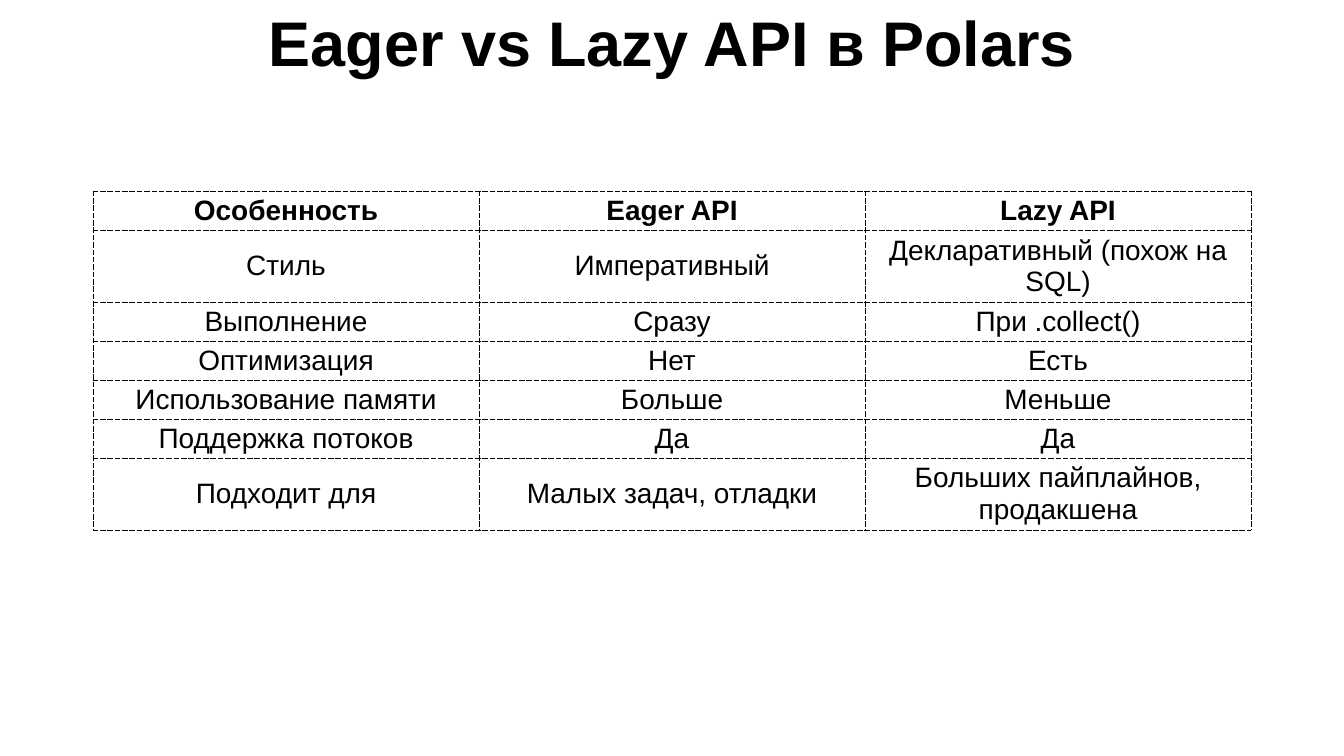
from lxml import etree
from pptx import Presentation
from pptx.dml.color import RGBColor
from pptx.enum import text
from pptx.oxml import ns
from pptx.util import Emu, Pt

TITLE = "Eager vs Lazy API в Polars"
ROWS = [
    ("Особенность", "Eager API", "Lazy API"),
    ("Стиль", "Императивный", "Декларативный (похож на SQL)"),
    ("Выполнение", "Сразу", "При .collect()"),
    ("Оптимизация", "Нет", "Есть"),
    ("Использование памяти", "Больше", "Меньше"),
    ("Поддержка потоков", "Да", "Да"),
    ("Подходит для", "Малых задач, отладки", "Больших пайплайнов, продакшена"),
]
PAGE_WIDTH, PAGE_HEIGHT = 1344, 756
TITLE_HEIGHT = 82
TABLE_LEFT, TABLE_TOP, COLUMN_WIDTH = 93, 191, 386
LINE_HEIGHTS = {1: 39, 2: 72}
WRAP_AT = 24  # characters that fit on one line of a cell
INK = "000000"
TITLE_FONT = {"name": "Arial", "size": Pt(90), "bold": True}
HEAD_FONT = {"name": "Arial", "size": Pt(40), "bold": True}
BODY_FONT = {**HEAD_FONT, "bold": False}


def px(length):
    return Emu(round(length * 914400 / 50.4))


def color(value):
    return RGBColor.from_string(value)


def write(frame, words, font):
    frame.word_wrap = True
    frame.vertical_anchor = text.MSO_ANCHOR.MIDDLE
    paragraph = frame.paragraphs[0]
    paragraph.alignment = text.PP_ALIGN.CENTER
    span = paragraph.add_run()
    span.text = words
    for name, value in font.items():
        setattr(span.font, name, value)
    span.font.color.rgb = color(INK)


def add_borders(cell):
    properties = cell._tc.get_or_add_tcPr()
    for position, side in enumerate(("lnL", "lnR", "lnT", "lnB")):
        line = etree.Element(ns.qn(f"a:{side}"), w=str(Pt(1)))
        fill = etree.SubElement(line, ns.qn("a:solidFill"))
        etree.SubElement(fill, ns.qn("a:srgbClr"), val=INK)
        etree.SubElement(line, ns.qn("a:prstDash"), val="dash")
        properties.insert(position, line)


deck = Presentation()
deck.slide_width, deck.slide_height = px(PAGE_WIDTH), px(PAGE_HEIGHT)
page = deck.slides.add_slide(deck.slide_layouts[5])

# Title
title = page.shapes.title
title.left, title.top = px(0), px(0)
title.width, title.height = px(PAGE_WIDTH), px(TITLE_HEIGHT)
write(title.text_frame, TITLE, TITLE_FONT)
title.text_frame.auto_size = text.MSO_AUTO_SIZE.NONE

# Comparison table
heights = [LINE_HEIGHTS[2 if max(map(len, row)) > WRAP_AT else 1] for row in ROWS]
columns = len(ROWS[0])
table = page.shapes.add_table(
    len(ROWS), columns, px(TABLE_LEFT), px(TABLE_TOP),
    px(COLUMN_WIDTH * columns), px(sum(heights))).table
table.horz_banding = False
for column in table.columns:
    column.width = px(COLUMN_WIDTH)
for index, (row, height) in enumerate(zip(ROWS, heights)):
    table.rows[index].height = px(height)
    for number, words in enumerate(row):
        cell = table.cell(index, number)
        cell.fill.background()
        write(cell.text_frame, words, BODY_FONT if index else HEAD_FONT)
        cell.vertical_anchor = text.MSO_ANCHOR.MIDDLE
        add_borders(cell)

deck.save("out.pptx")
